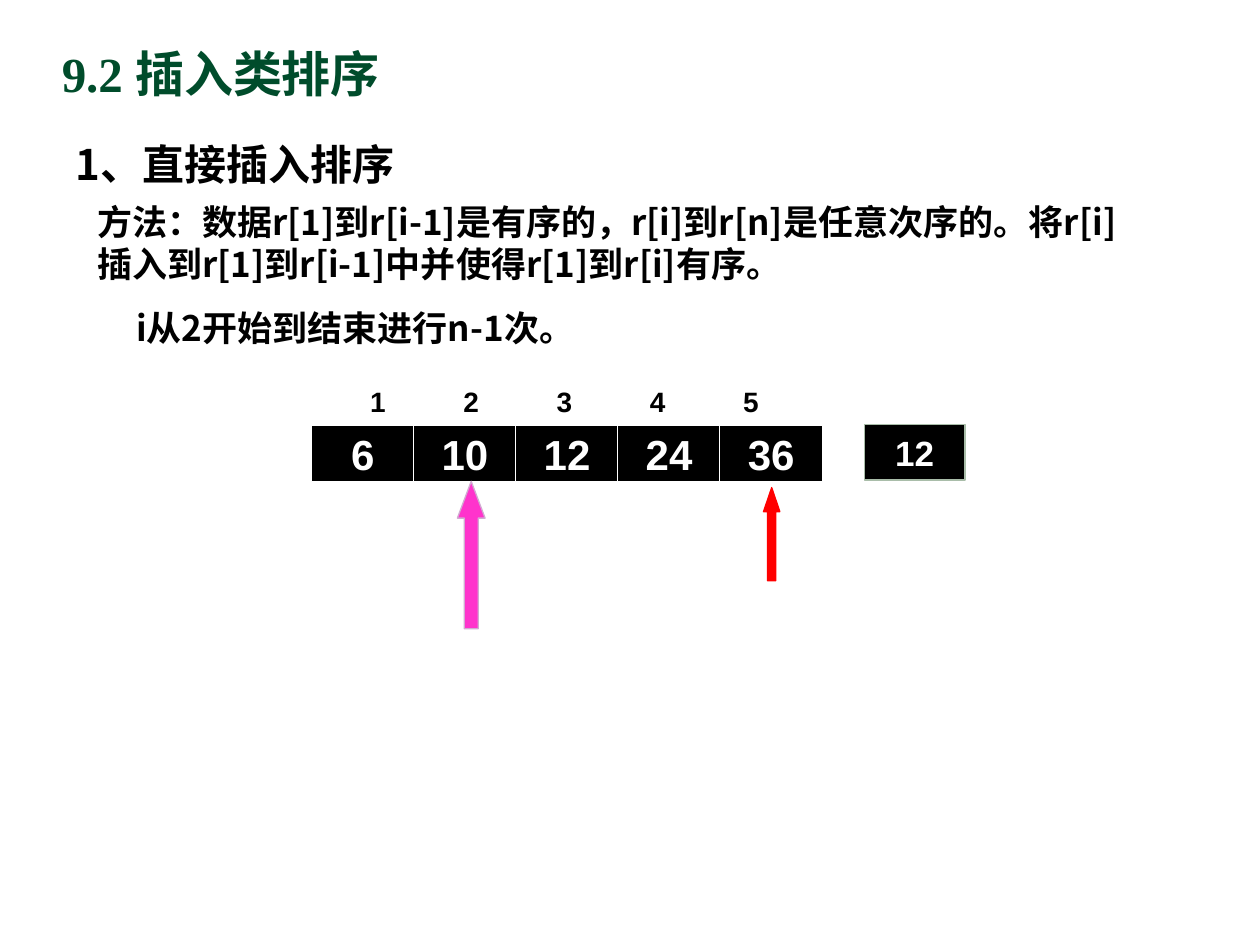
import dataclasses

import lxml.etree
import pptx
import pptx.dml.color
import pptx.enum.shapes
import pptx.enum.text
import pptx.oxml.ns
import pptx.util

Inches = pptx.util.Inches
Pt = pptx.util.Pt
qn = pptx.oxml.ns.qn
Shape = pptx.enum.shapes.MSO_SHAPE
Align = pptx.enum.text.PP_ALIGN
Anchor = pptx.enum.text.MSO_ANCHOR


@dataclasses.dataclass(frozen=True)
class Theme:
    """Colours, fonts and type sizes of the slide."""

    title_color: str = "004C2B"
    ink: str = "000000"
    paper: str = "FFFFFF"
    key_border: str = "A9BDA9"
    scan_arrow: str = "FF0000"
    slot_arrow: str = "FF33CC"
    slot_border: str = "D2AAD2"
    title_font: str = "Times New Roman"
    chinese_font: str = "Noto Sans CJK SC"
    number_font: str = "Arial"
    title_size: int = 28
    heading_size: int = 24
    body_size: int = 20
    index_size: int = 16


THEME = Theme()


def rgb(color):
    """Return a colour object for a hex string."""
    return pptx.dml.color.RGBColor.from_string(color)


def place(box, left, top, width, height):
    """Move and size a box, in inches."""
    box.left, box.top = Inches(left), Inches(top)
    box.width, box.height = Inches(width), Inches(height)


def set_frame(box, anchor=Anchor.TOP):
    """Give a box wrapped text of fixed size and return its frame."""
    frame = box.text_frame
    frame.word_wrap = True
    frame.auto_size = pptx.enum.text.MSO_AUTO_SIZE.NONE
    frame.vertical_anchor = anchor
    frame.margin_left = frame.margin_right = Inches(0.1)
    frame.margin_top = frame.margin_bottom = Inches(0.05)
    return frame


def write(para, text, font, size, color, align=Align.LEFT, before=0):
    """Add one bold run to a paragraph and set its layout."""
    para.alignment = align
    para.space_before = Pt(before)
    span = para.add_run()
    span.text = text
    span.font.name = font
    span.font.size = Pt(size)
    span.font.bold = True
    span.font.color.rgb = rgb(color)
    east_asian = lxml.etree.Element(qn("a:ea"), typeface=THEME.chinese_font)
    span.font._element.find(qn("a:latin")).addnext(east_asian)


def indent(para, left):
    """Set a plain left indent without a bullet."""
    properties = para._p.get_or_add_pPr()
    properties.set("marL", str(Inches(left)))
    properties.set("indent", "0")
    lxml.etree.SubElement(properties, qn("a:buNone"))


def add_tabs(para, step, count):
    """Set equally spaced left tab stops."""
    stops = lxml.etree.SubElement(para._p.get_or_add_pPr(), qn("a:tabLst"))
    for number in range(1, count + 1):
        position = str(Inches(step * number))
        lxml.etree.SubElement(stops, qn("a:tab"), pos=position, algn="l")


def add_solid(page, kind, bounds, fill, border):
    """Add a flat filled shape with a thin border."""
    shape = page.shapes.add_shape(kind, *map(Inches, bounds))
    shape.shadow.inherit = False
    shape.fill.solid()
    shape.fill.fore_color.rgb = rgb(fill)
    shape.line.color.rgb = rgb(border)
    shape.line.width = Pt(0.75)
    return shape


def add_cell(page, bounds, value, size, border):
    """Add a black array cell with a centred value."""
    cell = add_solid(page, Shape.RECTANGLE, bounds, THEME.ink, border)
    para = set_frame(cell, Anchor.MIDDLE).paragraphs[0]
    write(para, value, THEME.number_font, size, THEME.paper, Align.CENTER)


def add_arrow(page, bounds, head, fill, border):
    """Add an upward pointer with the given head ratio."""
    arrow = add_solid(page, Shape.UP_ARROW, bounds, fill, border)
    arrow.adjustments[0] = 0.5
    arrow.adjustments[1] = head


def add_title(page):
    """Fill the title placeholder."""
    title = page.shapes.title
    place(title, 0.39, 0.25, 3.69, 0.66)
    para = set_frame(title, Anchor.MIDDLE).paragraphs[0]
    write(para, "9.2 插入类排序", THEME.title_font, THEME.title_size, THEME.title_color)


def add_heading(page):
    """Add the heading of the sorting method."""
    bounds = map(Inches, (0, 1.05, 4.27, 0.5))
    para = set_frame(page.shapes.add_textbox(*bounds)).paragraphs[0]
    indent(para, 0.5)
    write(para, "1、直接插入排序", THEME.chinese_font, THEME.heading_size, THEME.ink)


def add_method(page):
    """Describe the method in the body placeholder."""
    body = page.placeholders[1]
    place(body, 0.67, 1.54, 8.39, 1.28)
    frame = set_frame(body)
    method = (
        "方法：数据r[1]到r[i-1]是有序的，r[i]到r[n]是任意次序的。"
        "将r[i]插入到r[1]到r[i-1]中并使得r[1]到r[i]有序。"
    )
    rounds = "i从2开始到结束进行n-1次。"
    paragraphs = (frame.paragraphs[0], method, 0, 0), (frame.add_paragraph(), rounds, 0.31, 12.5)
    for para, text, left, before in paragraphs:
        indent(para, left)
        write(para, text, THEME.chinese_font, THEME.body_size, THEME.ink, before=before)


def add_array(page, values):
    """Draw the sorted array with its index numbers."""
    bounds = map(Inches, (2.84, 3, 3.4, 0.37))
    para = set_frame(page.shapes.add_textbox(*bounds)).paragraphs[0]
    add_tabs(para, 0.74, len(values) - 1)
    indexes = "\t".join(str(number) for number in range(1, len(values) + 1))
    write(para, indexes, THEME.number_font, THEME.index_size, THEME.ink)
    for column, value in enumerate(values):
        cell = (2.47 + 0.81 * column, 3.38, 0.82, 0.44)
        add_cell(page, cell, value, THEME.heading_size, THEME.paper)


def main():
    """Build and save the slide."""
    deck = pptx.Presentation()
    deck.slide_width, deck.slide_height = Inches(10), Inches(7.5)
    page = deck.slides.add_slide(deck.slide_layouts[1])
    add_title(page)
    add_heading(page)
    add_method(page)
    add_array(page, ("6", "10", "12", "24", "36"))
    add_cell(page, (6.86, 3.37, 0.8, 0.44), "12", THEME.body_size, THEME.key_border)
    add_arrow(page, (6.06, 3.87, 0.13, 0.74), 1.47, THEME.scan_arrow, THEME.scan_arrow)
    add_arrow(page, (3.63, 3.82, 0.22, 1.17), 1.33, THEME.slot_arrow, THEME.slot_border)
    deck.save("out.pptx")


if __name__ == "__main__":
    main()
